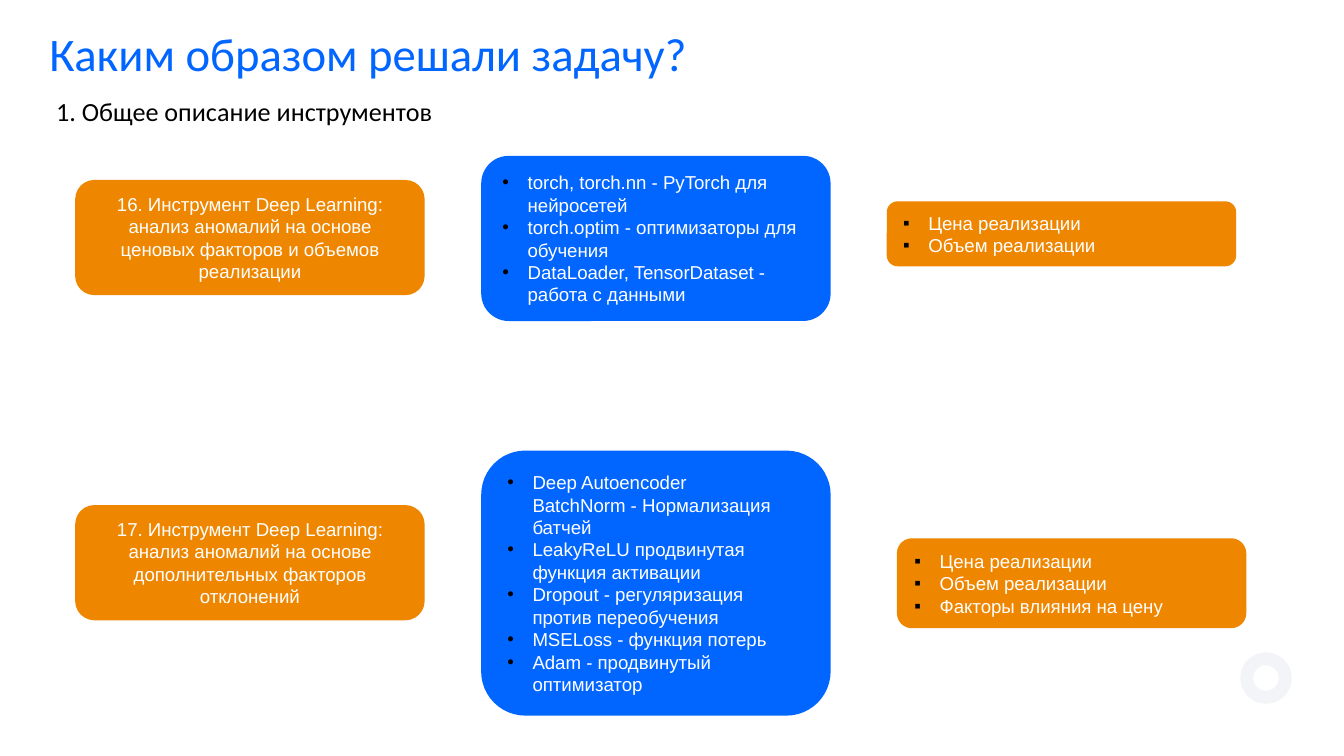
from dataclasses import dataclass

from lxml import etree
from pptx import Presentation
from pptx.dml.color import RGBColor
from pptx.enum.shapes import MSO_SHAPE as Shape
from pptx.enum.text import MSO_ANCHOR as Anchor, PP_ALIGN as Align
from pptx.oxml.ns import qn
from pptx.util import Pt

BLUE, ORANGE, WHITE, BLACK, PALE = "0066FF", "EF8600", "FFFFFF", "000000", "F3F4F7"
CARD_WIDTH = 187.2
TOOL_LEFT, LIBRARY_LEFT = 40.3, 257.8
BULLET_INDENT = 13.5


@dataclass
class Card:
    left: float
    top: float
    height: float
    color: str
    lines: list[str]
    bullet: str = ""


@dataclass
class Heading:
    left: float
    top: float
    width: float
    height: float
    text: str
    size: float
    color: str
    line_spacing: float
    align: Align = Align.LEFT
    indent: float = 0


HEADINGS = [
    Heading(19.4, 12.2, 664, 41, "Каким образом решали задачу?", 25, BLUE, 0.8),
    Heading(12.2, 41.2, 678, 34, "1. Общее описание инструментов", 14, BLACK, 1.15,
            Align.JUSTIFY, 10.8),
]

CARDS = [
    # First row: tool, libraries, factors
    Card(TOOL_LEFT, 96.4, 61.7, ORANGE,
         ["16. Инструмент Deep Learning: анализ аномалий на основе "
          "ценовых факторов и объемов реализации"]),
    Card(LIBRARY_LEFT, 83.5, 88.5, BLUE,
         ["torch, torch.nn - PyTorch для нейросетей",
          "torch.optim - оптимизаторы для обучения",
          "DataLoader, TensorDataset - работа с данными"], "•"),
    Card(475.1, 107.9, 34.8, ORANGE,
         ["Цена реализации", "Объем реализации"], "▪"),
    # Second row
    Card(TOOL_LEFT, 270.6, 61.7, ORANGE,
         ["17. Инструмент Deep Learning: анализ аномалий на основе "
          "дополнительных факторов отклонений"]),
    Card(LIBRARY_LEFT, 241.4, 142, BLUE,
         ["Deep Autoencoder\vBatchNorm - Нормализация батчей",
          "LeakyReLU продвинутая функция активации",
          "Dropout - регуляризация против переобучения",
          "MSELoss - функция потерь",
          "Adam - продвинутый оптимизатор"], "•"),
    Card(480.5, 288.4, 48.2, ORANGE,
         ["Цена реализации", "Объем реализации", "Факторы влияния на цену"], "▪"),
]


def rgb(color: str) -> RGBColor:
    return RGBColor.from_string(color)


def style_runs(paragraph, name: str, size: float, color: str) -> None:
    for run in paragraph.runs:
        run.font.name = name
        run.font.size = Pt(size)
        run.font.color.rgb = rgb(color)


def set_indent(paragraph, left: float, first: float = 0) -> None:
    properties = paragraph._p.get_or_add_pPr()
    properties.set("marL", str(Pt(left)))
    properties.set("indent", str(Pt(first)))


def add_bullet(paragraph, character: str) -> None:
    set_indent(paragraph, BULLET_INDENT, -BULLET_INDENT)
    properties = paragraph._p.get_or_add_pPr()
    color = etree.SubElement(properties, qn("a:buClr"))
    etree.SubElement(color, qn("a:srgbClr"), val=BLACK)
    etree.SubElement(properties, qn("a:buFont"), typeface="Arial")
    etree.SubElement(properties, qn("a:buChar"), char=character)


def add_filled(slide, kind: Shape, left: float, top: float,
               width: float, height: float, color: str):
    shape = slide.shapes.add_shape(kind, Pt(left), Pt(top), Pt(width), Pt(height))
    shape.shadow.inherit = False
    shape.fill.solid()
    shape.fill.fore_color.rgb = rgb(color)
    shape.line.fill.background()
    return shape


def add_card(slide, card: Card) -> None:
    shape = add_filled(slide, Shape.ROUNDED_RECTANGLE, card.left, card.top,
                       CARD_WIDTH, card.height, card.color)
    frame = shape.text_frame
    frame.word_wrap = True
    frame.vertical_anchor = Anchor.MIDDLE
    frame.text = "\n".join(card.lines)
    for paragraph in frame.paragraphs:
        paragraph.alignment = Align.LEFT if card.bullet else Align.CENTER
        if card.bullet:
            add_bullet(paragraph, card.bullet)
        style_runs(paragraph, "Arial", 10, WHITE)


def add_heading(slide, heading: Heading) -> None:
    box = slide.shapes.add_textbox(Pt(heading.left), Pt(heading.top),
                                   Pt(heading.width), Pt(heading.height))
    frame = box.text_frame
    frame.word_wrap = True
    frame.margin_top = frame.margin_bottom = Pt(7.2)
    frame.text = heading.text
    paragraph = frame.paragraphs[0]
    paragraph.alignment = heading.align
    paragraph.line_spacing = heading.line_spacing
    set_indent(paragraph, heading.indent)
    style_runs(paragraph, "Calibri", heading.size, heading.color)


def main() -> None:
    presentation = Presentation()
    presentation.slide_width, presentation.slide_height = Pt(720), Pt(405)
    slide = presentation.slides.add_slide(presentation.slide_layouts[6])

    # Plain corner ornament
    add_filled(slide, Shape.DONUT, 664.5, 349.5, 27.5, 27.5, PALE)

    # Title and subtitle
    for heading in HEADINGS:
        add_heading(slide, heading)

    # Tool, library and factor cards
    for card in CARDS:
        add_card(slide, card)

    presentation.save("out.pptx")


if __name__ == "__main__":
    main()
